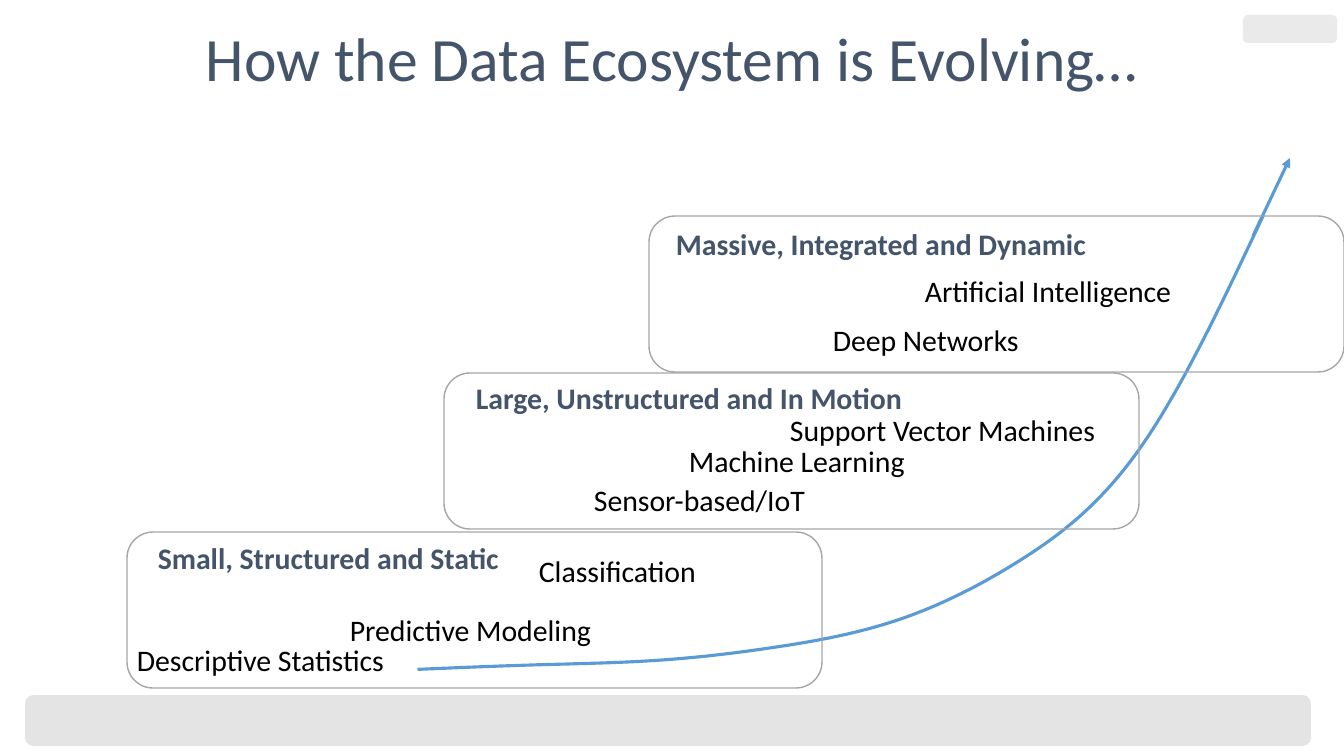
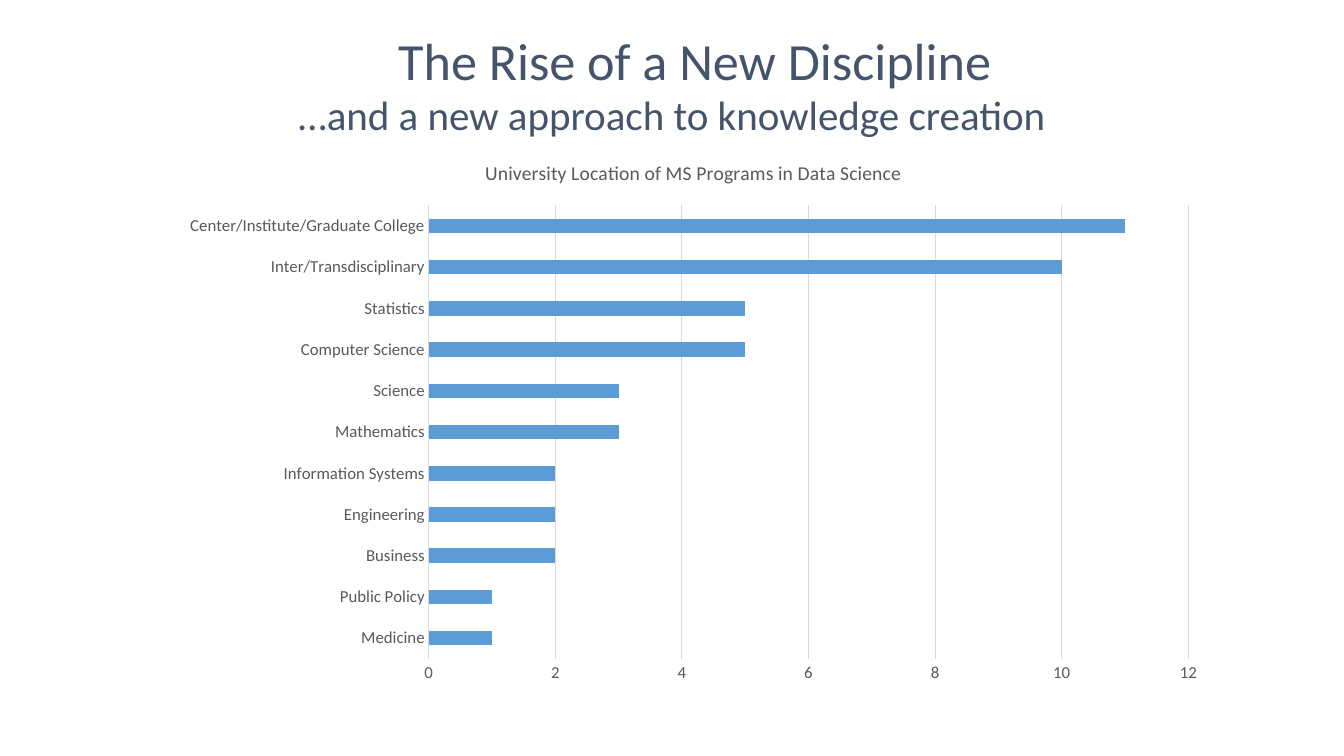
from lxml import etree
from pptx import Presentation
from pptx.chart.data import CategoryChartData
from pptx.dml.color import RGBColor
from pptx.enum.chart import XL_CHART_TYPE as ChartType, XL_MARKER_STYLE as Marker
from pptx.enum.chart import XL_TICK_LABEL_POSITION as LabelPos, XL_TICK_MARK as Tick
from pptx.enum.shapes import MSO_CONNECTOR as Connector, MSO_SHAPE as Shape
from pptx.enum.text import MSO_ANCHOR as Anchor, MSO_AUTO_SIZE as AutoSize, PP_ALIGN as Align
from pptx.oxml import parse_xml
from pptx.oxml.ns import nsdecls, qn
from pptx.util import Pt

PX = 914400 / 100.8
FONT = "Calibri"
HEX = {
    "heading": "44546A", "text": "000000", "curve": "5B9BD5", "bar": "5B9BD6",
    "frame": "A6A6A6", "band": "E4E4E4", "badge": "EAEAEA",
    "label": "595959", "grid": "D9D9D9",
}
COLOR = {name: RGBColor.from_string(value) for name, value in HEX.items()}


def px(*lengths):
    return [round(length * PX) for length in lengths]


def write(shape, text, size, color, bold=False, align=Align.LEFT):
    shape.text_frame.text = text
    paragraph = shape.text_frame.paragraphs[0]
    paragraph.alignment = align
    paragraph.font.name = FONT
    paragraph.font.size = Pt(size)
    paragraph.font.bold = bold
    paragraph.font.color.rgb = COLOR[color]
    return paragraph


deck = Presentation()
deck.slide_width, deck.slide_height = px(1344, 756)
evolution = deck.slides.add_slide(deck.slide_layouts[5])
discipline = deck.slides.add_slide(deck.slide_layouts[1])

headings = [
    (evolution.shapes.title, "How the Data Ecosystem is Evolving…", 44, 0.9, (92, 28, 1160, 68)),
    (discipline.shapes.title, "The Rise of a New Discipline", 37.3, 1.0, (115, 26, 1160, 68)),
    (discipline.placeholders[1], "…and a new approach to knowledge creation", 29.3, 1.0, (92, 94, 1160, 40)),
]
for heading, text, size, spacing, box in headings:
    heading.left, heading.top, heading.width, heading.height = px(*box)
    heading.text_frame.auto_size = AutoSize.NONE
    heading.text_frame.vertical_anchor = Anchor.MIDDLE
    paragraph = write(heading, text, size, "heading", align=Align.CENTER)
    paragraph.space_before = Pt(0)
    paragraph.line_spacing = spacing
    properties = paragraph._p.get_or_add_pPr()
    properties.set("marL", "0")
    properties.set("indent", "0")
    bullet = etree.SubElement(properties, qn("a:buNone"))
    properties.find(qn("a:defRPr")).addprevious(bullet)

growth_data = CategoryChartData()
growth_data.categories = [str(step) for step in range(1, 9)]
growth_data.add_series("Series 1", [1, 2, 3, 6, 12, 25, 50, 100])
growth = evolution.shapes.add_chart(ChartType.LINE, *px(337, 94, 1007, 598), growth_data).chart

program_counts = {
    "Medicine": 1, "Public Policy": 1, "Business": 2, "Engineering": 2,
    "Information Systems": 2, "Mathematics": 3, "Science": 3, "Computer Science": 5,
    "Statistics": 5, "Inter/Transdisciplinary": 10, "Center/Institute/Graduate College": 11,
}
program_data = CategoryChartData()
program_data.categories = list(program_counts)
program_data.add_series("Series 1", list(program_counts.values()))
programs = discipline.shapes.add_chart(
    ChartType.BAR_CLUSTERED, *px(165, 139, 1055, 553), program_data).chart

for chart, top_value, font_size in [(growth, 120, 10), (programs, 12, 12)]:
    chart.has_legend = False
    chart.has_title = False
    chart.font.name = FONT
    chart.font.size = Pt(font_size)
    chart.font.color.rgb = COLOR["label"]
    chart.plots[0].vary_by_categories = False
    chart.value_axis.minimum_scale = 0
    chart.value_axis.maximum_scale = top_value
    for axis in (chart.category_axis, chart.value_axis):
        axis.major_tick_mark = axis.minor_tick_mark = Tick.NONE

growth.category_axis.visible = False
growth.value_axis.visible = False
growth.value_axis.has_major_gridlines = False
growth_curve = growth.plots[0].series[0]
growth_curve.smooth = True
growth_curve.marker.style = Marker.NONE
growth_curve.format.line.color.rgb = COLOR["curve"]
growth_curve.format.line.width = Pt(2.25)

programs.plots[0].gap_width = 182
program_bars = programs.plots[0].series[0].format.fill
program_bars.solid()
program_bars.fore_color.rgb = COLOR["bar"]
programs.category_axis.tick_label_position = LabelPos.NEXT_TO_AXIS
programs.value_axis.major_unit = 2
programs.value_axis.format.line.fill.background()
for line in (programs.category_axis.format.line, programs.value_axis.major_gridlines.format.line):
    line.color.rgb = COLOR["grid"]
    line.width = Pt(0.75)
write(programs.chart_title, "University Location of MS Programs in Data Science", 14, "label", align=Align.CENTER)

layouts = [
    (growth._chartSpace.chart.plotArea, {"x": 0.02, "y": 0.05, "w": 0.96, "h": 0.92}),
    (programs._chartSpace.chart.plotArea, {"x": 0.25, "y": 0.12, "w": 0.72, "h": 0.82}),
    (programs.chart_title._element, {"x": 0.3, "y": 0.03}),
]
for part, fractions in layouts:
    for old_layout in part.findall(qn("c:layout")):
        part.remove(old_layout)
    target = '<c:layoutTarget val="inner"/>' if "w" in fractions else ""
    modes = "".join(f'<c:{side}Mode val="edge"/>' for side in "xy")
    values = "".join(f'<c:{key} val="{value}"/>' for key, value in fractions.items())
    layout = parse_xml(
        f'<c:layout {nsdecls("c")}><c:manualLayout>{target}{modes}{values}</c:manualLayout></c:layout>')
    text_part = part.find(qn("c:tx"))
    if text_part is None:
        part.insert(0, layout)
    else:
        text_part.addnext(layout)

for box, color in [((25, 695, 1286, 51), "band"), ((1243, 15, 94, 28), "badge")]:
    band = evolution.shapes.add_shape(Shape.ROUNDED_RECTANGLE, *px(*box))
    band.shadow.inherit = False
    band.fill.solid()
    band.fill.fore_color.rgb = COLOR[color]
    band.line.fill.background()

arrow = evolution.shapes.add_connector(Connector.STRAIGHT, *px(1253, 236, 1290, 158))
arrow.line.color.rgb = COLOR["curve"]
arrow.line.width = Pt(2.25)
etree.SubElement(arrow.line._get_or_add_ln(), qn("a:tailEnd"), type="triangle")
etree.SubElement(arrow._element.spPr, qn("a:effectLst"))

stages = [
    ((127, 532), [
        ("Small, Structured and Static", 148, 535, 367),
        ("Descriptive Statistics", 127, 637, 271),
        ("Predictive Modeling", 340, 607, 265),
        ("Classification", 529, 548, 179),
    ]),
    ((444, 373), [
        ("Large, Unstructured and In Motion", 466, 375, 454),
        ("Sensor-based/IoT", 584, 477, 236),
        ("Machine Learning", 679, 438, 240),
        ("Support Vector Machines", 780, 407, 330),
    ]),
    ((649, 216), [
        ("Massive, Integrated and Dynamic", 666, 221, 436),
        ("Deep Networks", 823, 317, 209),
        ("Artificial Intelligence", 915, 268, 270),
    ]),
]
for corner, labels in stages:
    stage = evolution.shapes.add_group_shape()
    frame = stage.shapes.add_shape(Shape.ROUNDED_RECTANGLE, *px(*corner, 695, 156))
    frame.shadow.inherit = False
    frame.fill.background()
    frame.line.color.rgb = COLOR["frame"]
    frame.line.width = Pt(1)
    for index, (text, left, top, width) in enumerate(labels):
        label = stage.shapes.add_textbox(*px(left, top, width, 46))
        label.text_frame.word_wrap = False
        label.text_frame.auto_size = AutoSize.SHAPE_TO_FIT_TEXT
        write(label, text, 21.3, "text" if index else "heading", bold=index == 0)

deck.save("out.pptx")
